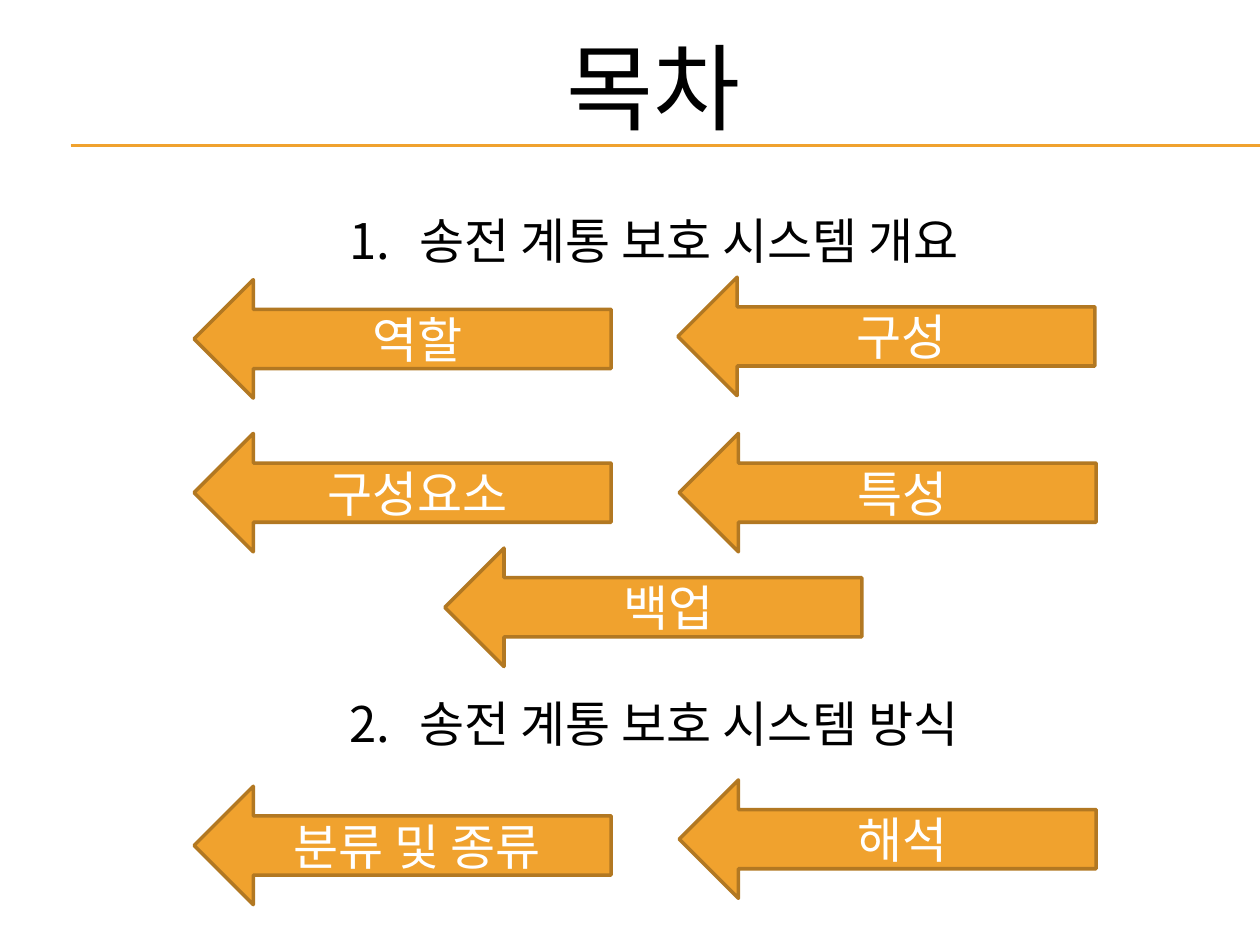
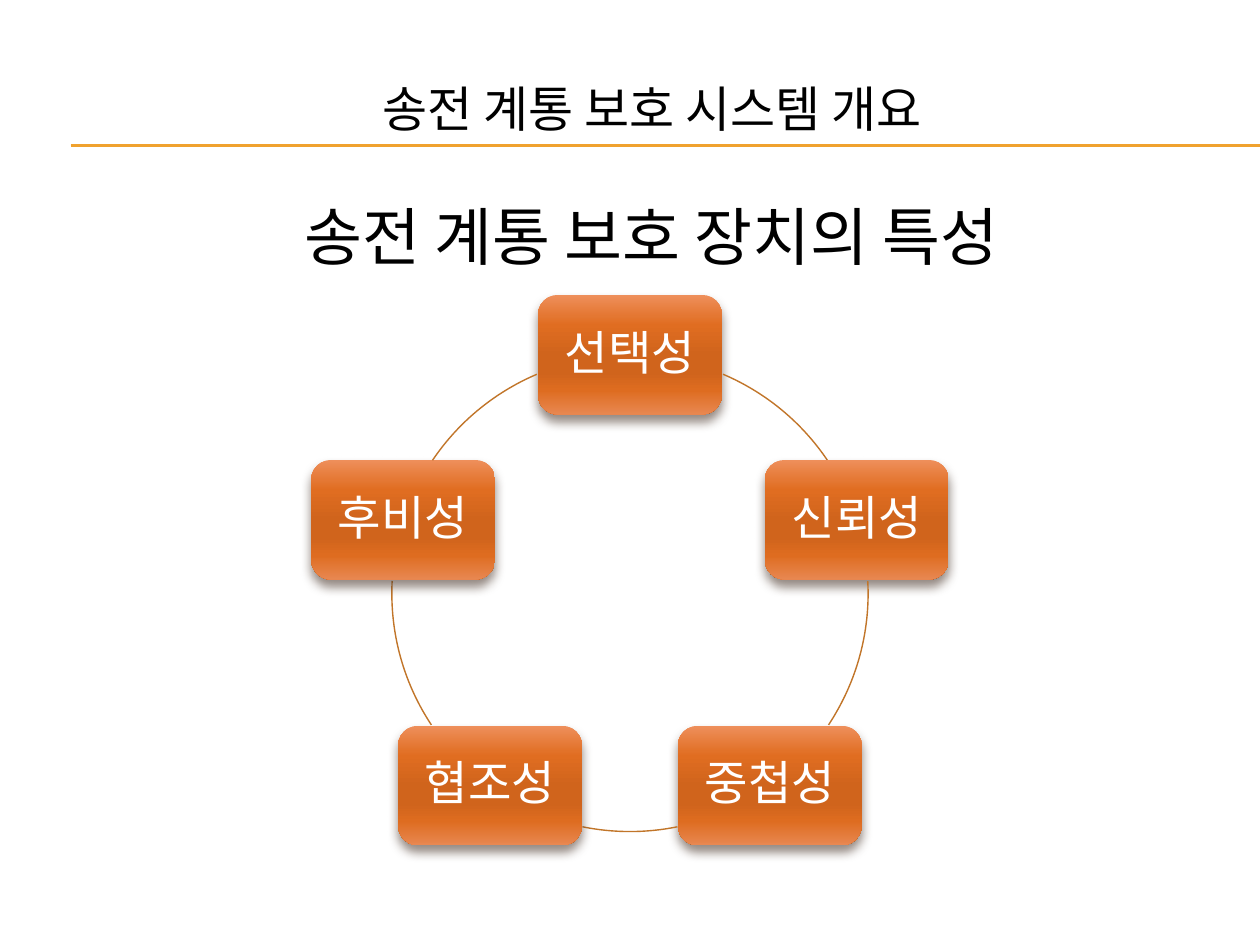
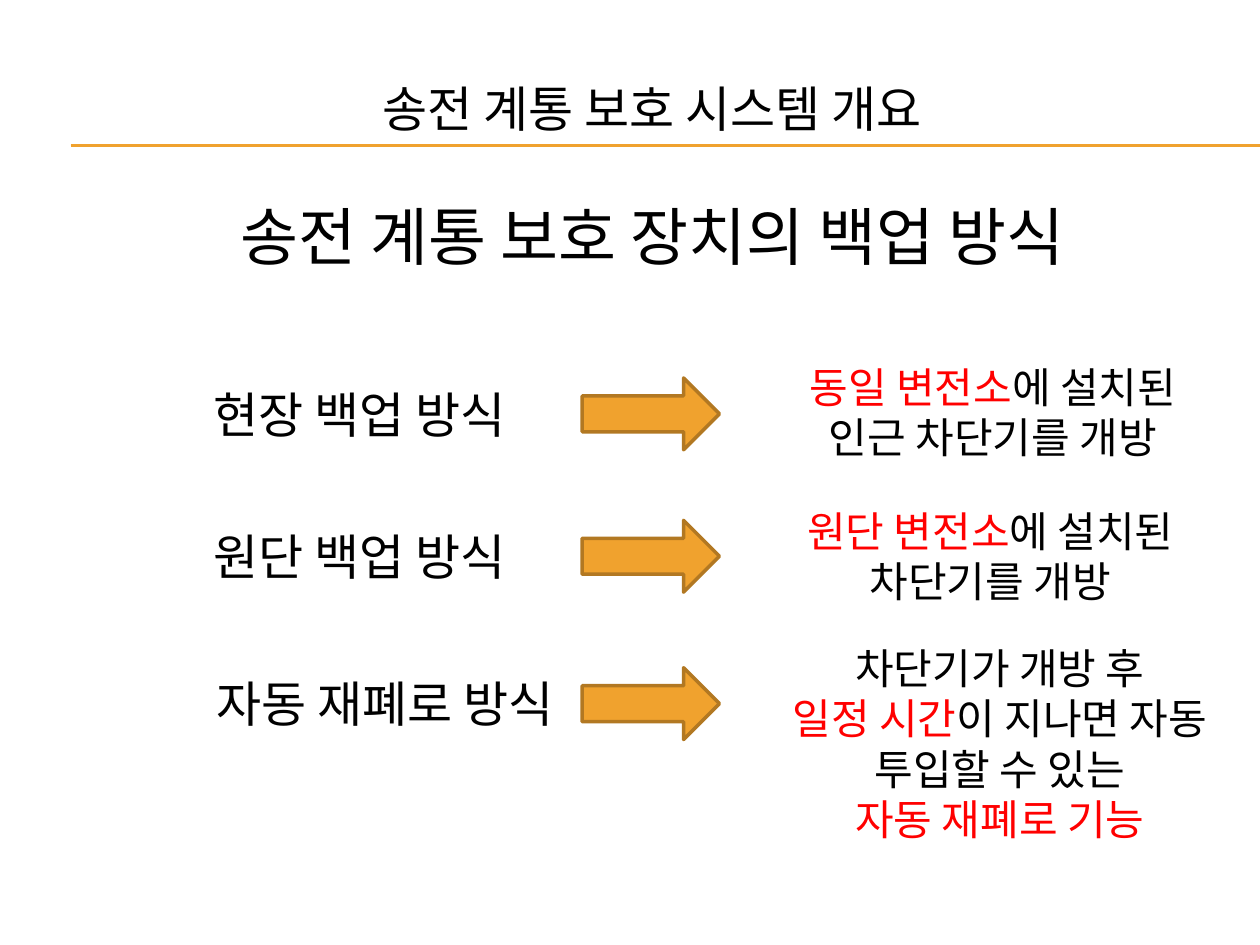
from math import cos, radians, sin

from lxml.etree import SubElement
from pptx import Presentation
from pptx.dml.color import RGBColor
from pptx.enum.shapes import MSO_CONNECTOR, MSO_SHAPE
from pptx.enum.text import MSO_ANCHOR, MSO_AUTO_SIZE, PP_ALIGN
from pptx.oxml.ns import qn
from pptx.util import Pt

PX = 9144  # 100 px to the inch
FONT = "Lato"
COLORS = {
    "text": "000000", "light": "FFFFFF", "accent": "F0A22E", "edge": "B27822",
    "red": "FF0000", "arc": "C17529", "shadow": "4E3B30",
}
COLORS = {name: RGBColor.from_string(value) for name, value in COLORS.items()}
NODE_STOPS = [(0, "EE8F5B"), (25, "E06D21"), (50, "D0641C"),
              (65, "D0641C"), (80, "DE6C20"), (100, "E88852")]


def write(s, lines, size, box=None, wrap=False):
    """Fill a shape with centred lines, each a list of (text, colour) runs."""
    if box:
        s.left, s.top, s.width, s.height = [v * PX for v in box]
    tf = s.text_frame
    tf.word_wrap = wrap
    tf.auto_size = MSO_AUTO_SIZE.NONE
    if box:
        tf.vertical_anchor = MSO_ANCHOR.TOP
    for i, line in enumerate(lines):
        p = tf.paragraphs[0] if i == 0 else tf.add_paragraph()
        p.alignment = PP_ALIGN.CENTER
        p.space_before = Pt(0)
        for text, color in line:
            r = p.add_run()
            r.text = text
            r.font.name = FONT
            r.font.size = Pt(size)
            r.font.color.rgb = COLORS[color]
    return tf


def add_arrow(slide, kind, x, y, w, h):
    s = slide.shapes.add_shape(kind, x * PX, y * PX, w * PX, h * PX)
    s.shadow.inherit = False
    s.fill.solid()
    s.fill.fore_color.rgb = COLORS["accent"]
    s.line.color.rgb = COLORS["edge"]
    s.line.width = Pt(2)
    return s


prs = Presentation()
prs.slide_width, prs.slide_height = 1000 * PX, 750 * PX
TWO_CONTENT, TITLE_ONLY = prs.slide_layouts[3], prs.slide_layouts[5]

# Shared: title, double rule and, where present, a subtitle
HEADER = ("송전 계통 보호 시스템 개요", 28, (272, 57, 491, 57))
slides = []
for layout, (title, size, box), subtitle in [
    (TWO_CONTENT, ("목차", 54, (432, 18, 173, 101)), None),
    (TITLE_ONLY, HEADER, ("송전 계통 보호 장치의 특성", (204, 152, 626, 71))),
    (TITLE_ONLY, HEADER, ("송전 계통 보호 장치의 백업 방식", (148, 152, 740, 71))),
]:
    slide = prs.slides.add_slide(layout)
    slides.append(slide)
    for y in (115, 116):
        rule = slide.shapes.add_connector(
            MSO_CONNECTOR.STRAIGHT, 56 * PX, y * PX, 1000 * PX, y * PX)
        rule.line.color.rgb = COLORS["accent"]
        rule.line.width = Pt(0.75)
        SubElement(rule._element.spPr, qn("a:effectLst"))
    write(slide.shapes.title, [[(title, "text")]], size, box)
    if subtitle:
        text, box = subtitle
        write(slide.shapes.add_textbox(0, 0, 0, 0), [[(text, "text")]], 36, box)
contents, traits, backups = slides

# Slide 1: numbered chapters
chapters = [("송전 계통 보호 시스템 개요", 162), ("송전 계통 보호 시스템 방식", 545)]
for number, (text, y) in enumerate(chapters, 1):
    body = contents.placeholders[number]
    tf = write(body, [[(text, "text")]], 28, (247, y, 544, 57))
    pPr = tf.paragraphs[0]._p.get_or_add_pPr()
    pPr.set("marL", str(56 * PX))
    pPr.set("indent", str(-56 * PX))
    SubElement(pPr, qn("a:buAutoNum"), type="arabicPeriod", startAt=str(number))

# Slide 1: topic arrows
for text, x, y in [
    ("역할", 154, 222), ("구성", 538, 220),
    ("구성요소", 154, 344), ("특성", 539, 344),
    ("분류 및 종류", 154, 624), ("해석", 539, 619),
    ("백업", 353, 435),
]:
    arrow = add_arrow(contents, MSO_SHAPE.LEFT_ARROW, x, y, 331, 94)
    write(arrow, [[(text, "light")]], 28, wrap=True)

# Slide 2: ring of traits, clockwise from the top
CX, CY, RADIUS = 500, 471, 189
NODE_W, NODE_H = 146, 95
names = ["선택성", "신뢰성", "중첩성", "협조성", "후비성"]
arcs = [(293, 326), (357, 33.5), (78.5, 101.5), (146.5, 183), (214, 247)]
for i, (name, (start, end)) in enumerate(zip(names, arcs)):
    angle = radians(360 / len(names) * i - 90)
    x = round(CX + RADIUS * cos(angle) - NODE_W / 2)
    y = round(CY + RADIUS * sin(angle) - NODE_H / 2)
    node = traits.shapes.add_shape(
        MSO_SHAPE.ROUNDED_RECTANGLE, x * PX, y * PX, NODE_W * PX, NODE_H * PX)
    node.line.fill.background()
    node.fill.gradient()
    node.fill.gradient_angle = 270
    spPr = node._element.spPr
    stops = spPr.find(".//" + qn("a:gsLst"))
    for gs in list(stops):
        stops.remove(gs)
    for pos, color in NODE_STOPS:
        gs = SubElement(stops, qn("a:gs"), pos=str(pos * 1000))
        SubElement(gs, qn("a:srgbClr"), val=color)
    node.shadow.inherit = False
    shadow = SubElement(
        spPr.find(qn("a:effectLst")), qn("a:outerShdw"), blurRad=str(Pt(6)),
        dist=str(Pt(4)), dir="5400000", rotWithShape="0")
    clr = SubElement(shadow, qn("a:srgbClr"), val=str(COLORS["shadow"]))
    SubElement(clr, qn("a:alpha"), val="60000")
    tf = write(node, [[(name, "light")]], 27)
    tf.paragraphs[0].line_spacing = 0.9

    arc = traits.shapes.add_shape(
        MSO_SHAPE.ARC, (CX - RADIUS) * PX, (CY - RADIUS) * PX,
        2 * RADIUS * PX, 2 * RADIUS * PX)
    arc.shadow.inherit = False
    arc.fill.background()
    arc.line.color.rgb = COLORS["arc"]
    arc.line.width = Pt(0.79)
    # Arc angles are stored in 60000ths of a degree, adjustments in 100000ths
    arc.adjustments[0] = start * 0.6
    arc.adjustments[1] = end * 0.6

# Slide 3: backup method, arrow, explanation
for method, width, y, lines, box in [
    ("현장 백업 방식", 275, 300,
     [[("동일 변전소", "red"), ("에 설치된", "text")],
      [("인근 차단기를 개방", "text")]], (614, 282, 348, 91)),
    ("원단 백업 방식", 275, 413,
     [[("원단 변전소", "red"), ("에 설치된", "text")],
      [("차단기를 개방", "text")]], (616, 396, 340, 91)),
    ("자동 재폐로 방식", 315, 530,
     [[("차단기가 개방 후", "text")],
      [("일정 시간", "red"), ("이 지나면 자동 투입할 수 있는", "text")],
      [("자동 재폐로 기능", "red")]], (587, 505, 413, 172)),
]:
    write(backups.shapes.add_textbox(0, 0, 0, 0), [[(method, "text")]], 28,
          (148, y, width, 57))
    add_arrow(backups, MSO_SHAPE.RIGHT_ARROW, 462, y, 109, 57)
    write(backups.shapes.add_textbox(0, 0, 0, 0), lines, 24, box, wrap=True)

prs.save("out.pptx")
